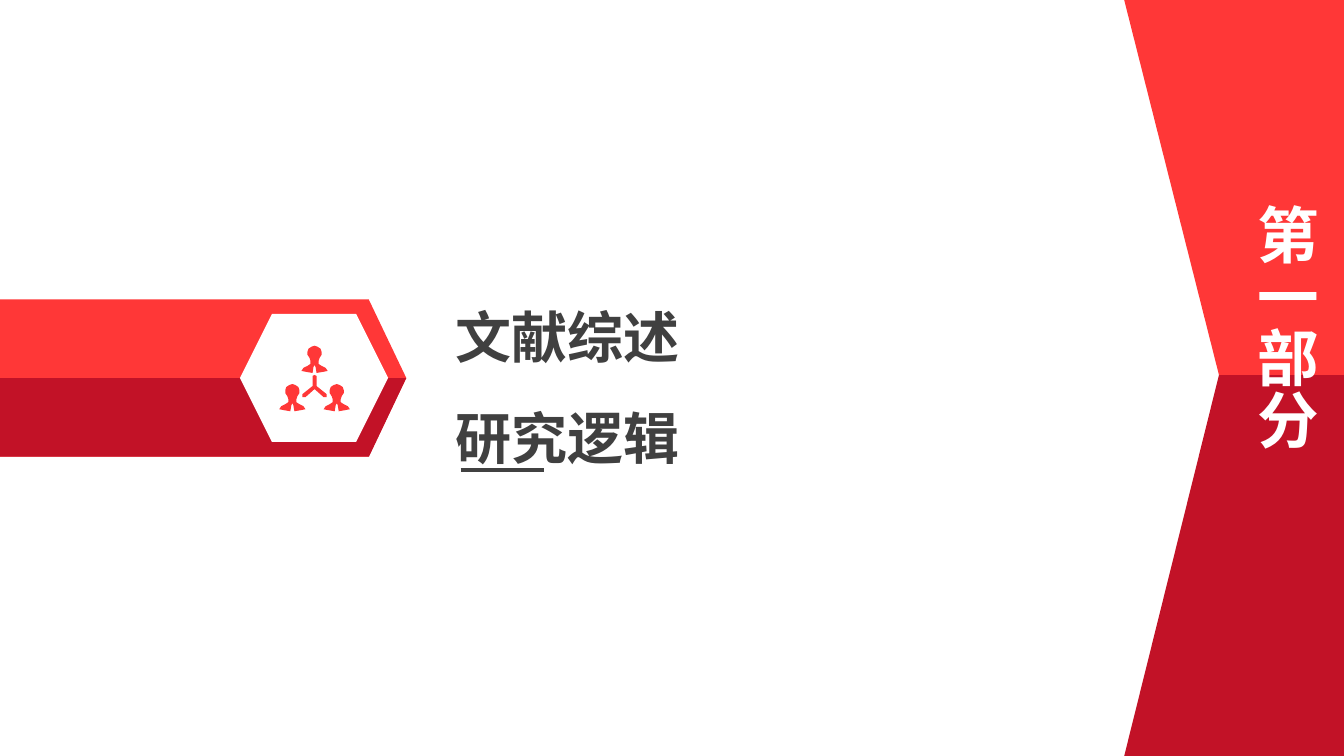
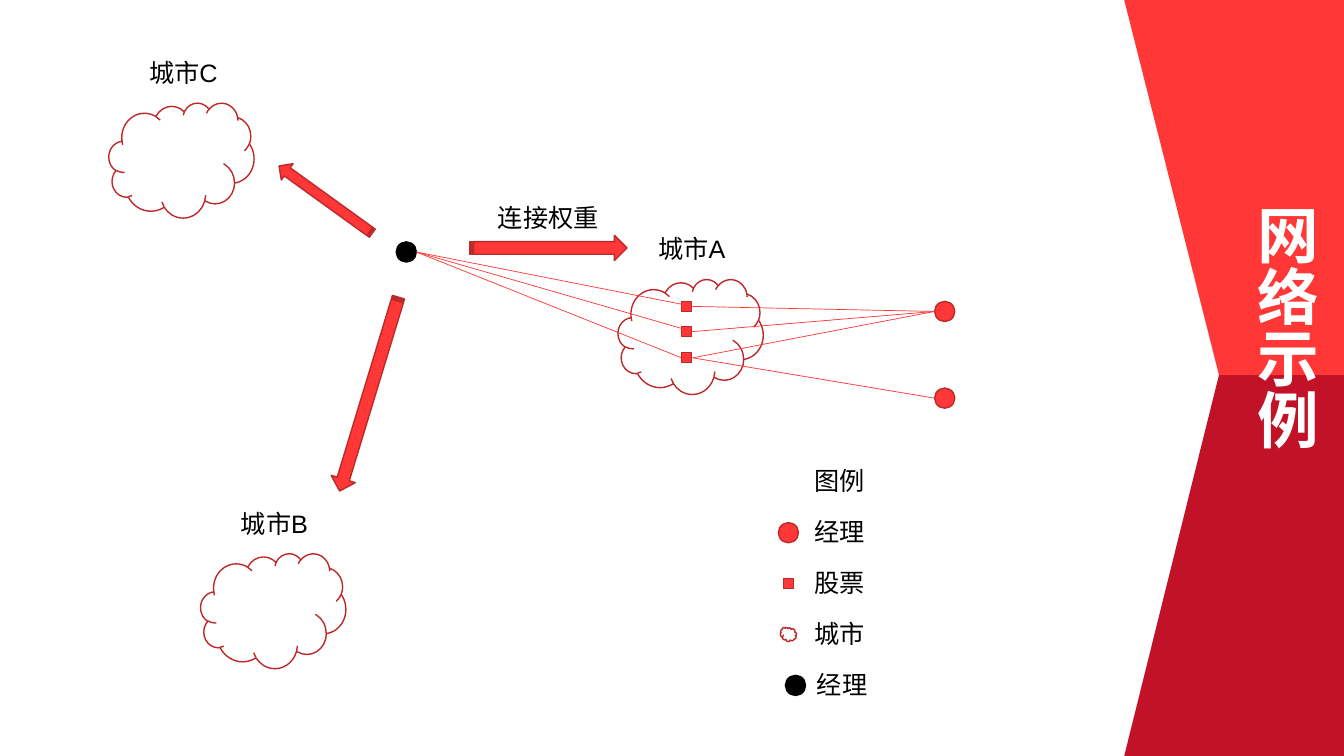
"""Build a section slide and a network example slide that share a red side band."""
from dataclasses import dataclass
from typing import Optional

from lxml import etree
from pptx import Presentation
from pptx.dml.color import RGBColor
from pptx.enum.shapes import MSO_CONNECTOR as Connector
from pptx.enum.shapes import MSO_SHAPE as Preset
from pptx.enum.text import PP_ALIGN as Align
from pptx.oxml.ns import qn
from pptx.util import Inches, Pt

COLORS = {
    "red": "FF3737",
    "crimson": "C21227",
    "outline": "BD2929",
    "title": "404040",
    "rule": "414141",
    "black": "000000",
    "white": "FFFFFF",
}
CJK = "Noto Sans CJK SC"
WIDTH, HEIGHT = 13.33, 7.5
BAND_LEFT, BAND_NOTCH, BAND_MIDDLE = 11.15, 12.09, 3.72
CLOUD_SIZE = (1.44, 1.14)
DOT, SQUARE = 0.2, 0.1
HALF_PERSON = [
    (0, 0), (0.03, 0.01), (0.06, 0.03), (0.07, 0.06), (0.07, 0.09),
    (0.05, 0.12), (0.04, 0.15), (0.04, 0.18), (0.07, 0.2), (0.11, 0.22),
    (0.13, 0.25), (0.08, 0.26), (0.02, 0.27), (0.01, 0.21), (0, 0.19),
]
HALF_JUNCTION = [
    (0, 0.29), (0.02, 0.3), (0.02, 0.4), (0.12, 0.48), (0.12, 0.51),
    (0.09, 0.51), (0, 0.43),
]


@dataclass(frozen=True)
class Marker:
    preset: Preset
    x: float
    y: float
    width: float
    height: float
    fill: Optional[str] = "red"
    line: Optional[str] = "outline"
    rotation: float = 0
    flipped: bool = False


@dataclass(frozen=True)
class City:
    name: str
    left: float
    top: float


@dataclass(frozen=True)
class LegendRow:
    label: str
    preset: Optional[Preset] = None
    width: float = DOT
    height: float = DOT
    fill: Optional[str] = "red"
    line: str = "outline"
    flipped: bool = False
    shift: float = 0


CITIES = [City("城市A", 6.13, 2.77), City("城市B", 1.99, 5.49), City("城市C", 1.08, 1.02)]
STOCK_X, STOCK_YS = 6.81, (3.04, 3.29, 3.55)
MANAGER_X, MANAGER_YS = 9.37, (3.09, 3.95)
HUB = (4.03, 2.5)
HUB_EDGE, MANAGER_EDGE = 4.13, 9.27
STOCK_LEFT, STOCK_RIGHT = 6.76, 6.87
STOCK_LINKS = [(0, 0), (1, 0), (2, 0), (2, 1)]
ARROWS = [
    Marker(Preset.STRIPED_RIGHT_ARROW, 5.44, 2.46, 1.56, 0.25),
    Marker(Preset.STRIPED_RIGHT_ARROW, 3.66, 3.91, 2.01, 0.25, rotation=106.9),
    Marker(Preset.STRIPED_RIGHT_ARROW, 3.23, 1.98, 1.14, 0.2, rotation=215.8),
]
LEGEND = [
    LegendRow("图例"),
    LegendRow("经理", Preset.OVAL),
    LegendRow("股票", Preset.RECTANGLE, SQUARE, SQUARE),
    LegendRow("城市", Preset.CLOUD, 0.16, 0.14, fill=None, flipped=True),
    LegendRow("经理", Preset.OVAL, fill="black", line="black", shift=0.07),
]
LEGEND_MARK_X, LEGEND_LABEL_X, LEGEND_TOP, LEGEND_STEP = 7.82, 7.98, 4.57, 0.505


def rgb(name: str) -> RGBColor:
    return RGBColor.from_string(COLORS[name])


def paint(shape, fill: Optional[str], line: Optional[str] = None) -> None:
    shape.shadow.inherit = False
    if fill:
        shape.fill.solid()
        shape.fill.fore_color.rgb = rgb(fill)
    else:
        shape.fill.background()
    if line:
        shape.line.color.rgb = rgb(line)
        shape.line.width = Pt(1)
    else:
        shape.line.fill.background()


def add_marker(slide, marker: Marker):
    shape = slide.shapes.add_shape(
        marker.preset,
        Inches(marker.x - marker.width / 2), Inches(marker.y - marker.height / 2),
        Inches(marker.width), Inches(marker.height),
    )
    paint(shape, marker.fill, marker.line)
    shape.rotation = marker.rotation
    if marker.flipped:
        shape._element.spPr.xfrm.set("flipH", "1")
    return shape


def add_outline(slide, contours: list, fill: str) -> None:
    scaled = [[(Inches(x), Inches(y)) for x, y in contour] for contour in contours]
    builder = slide.shapes.build_freeform(*scaled[0][0])
    for index, contour in enumerate(scaled):
        if index:
            builder.move_to(*contour[0])
        builder.add_line_segments(contour[1:], close=True)
    paint(builder.convert_to_shape(), fill)


def add_line(slide, start: tuple, end: tuple, color: str, width: float) -> None:
    line = slide.shapes.add_connector(
        Connector.STRAIGHT, *(Inches(value) for value in (*start, *end))
    )
    line.line.color.rgb = rgb(color)
    line.line.width = Pt(width)
    etree.SubElement(line._element.spPr, qn("a:effectLst"))


def add_text(slide, text: str, left: float, top: float, width: float, height: float, *,
             size: float = 18, font: str = "Arial", color: str = "black",
             bold: bool = False, align: Align = Align.LEFT, spacing: float = 1,
             vertical: bool = False) -> None:
    box = slide.shapes.add_textbox(Inches(left), Inches(top), Inches(width), Inches(height))
    frame = box.text_frame
    frame.word_wrap = True
    if vertical:
        frame._txBody.bodyPr.set("vert", "eaVert")
    frame.text = text
    for paragraph in frame.paragraphs:
        paragraph.alignment = align
        paragraph.line_spacing = spacing
        for run in paragraph.runs:
            run.font.size = Pt(size)
            run.font.name = font
            run.font.bold = bold
            run.font.color.rgb = rgb(color)
            east_asian = etree.SubElement(run.font._element, qn("a:ea"))
            east_asian.set("typeface", CJK)


def add_side_band(slide, title: str) -> None:
    for edge, color in ((HEIGHT, "crimson"), (0, "red")):
        add_outline(slide, [[
            (BAND_NOTCH, BAND_MIDDLE), (WIDTH, BAND_MIDDLE), (WIDTH, edge), (BAND_LEFT, edge),
        ]], color)
    add_text(slide, title, 12.23, 1.93, 0.94, 3.64, size=44, font=CJK, color="white",
             bold=True, align=Align.JUSTIFY, vertical=True)


def mirrored(half: list, x: float, y: float) -> list:
    left_side = [(-dx, dy) for dx, dy in reversed(half[1:-1])]
    return [(x + dx, y + dy) for dx, dy in half + left_side]


def build_section(slide) -> None:
    banner = add_marker(slide, Marker(Preset.PENTAGON, 2.015, 3.75, 4.03, 1.56, line=None))
    banner.adjustments[0] = 0.239
    add_outline(slide, [[(0, 3.75), (4.03, 3.75), (3.66, 4.53), (0, 4.53)]], "crimson")
    add_marker(slide, Marker(Preset.HEXAGON, 3.115, 3.75, 1.47, 1.27, fill="white", line=None))
    people = [mirrored(HALF_PERSON, x, y) for x, y in ((3.12, 3.43), (2.9, 3.81), (3.34, 3.81))]
    add_outline(slide, people + [mirrored(HALF_JUNCTION, 3.12, 3.43)], "red")
    add_text(slide, "文献综述\n研究逻辑", 4.42, 2.62, 2.45, 1.96, size=40, font="Quicksand",
             color="title", bold=True, align=Align.JUSTIFY, spacing=1.5)
    add_line(slide, (4.57, 4.66), (5.4, 4.66), "rule", 3)
    add_side_band(slide, "第一部分")


def add_legend(slide) -> None:
    for index, row in enumerate(LEGEND):
        top = LEGEND_TOP + index * LEGEND_STEP
        if row.preset is not None:
            add_marker(slide, Marker(row.preset, LEGEND_MARK_X + row.shift, top + 0.21,
                                     row.width, row.height, row.fill, row.line,
                                     flipped=row.flipped))
        add_text(slide, row.label, LEGEND_LABEL_X + row.shift / 3, top, 0.71, 0.4)


def build_network(slide) -> None:
    cloud_width, cloud_height = CLOUD_SIZE
    for city in CITIES:
        add_marker(slide, Marker(Preset.CLOUD, city.left + cloud_width / 2,
                                 city.top + cloud_height / 2, *CLOUD_SIZE, fill=None))
        add_text(slide, city.name, city.left + 0.3, city.top - 0.5, 1.31, 0.4)
    add_marker(slide, Marker(Preset.OVAL, *HUB, DOT, DOT, "black", "black"))
    for y in MANAGER_YS:
        add_marker(slide, Marker(Preset.OVAL, MANAGER_X, y, DOT, DOT))
    for y in STOCK_YS:
        add_marker(slide, Marker(Preset.RECTANGLE, STOCK_X, y, SQUARE, SQUARE))
    for x, y in zip((STOCK_RIGHT, STOCK_RIGHT, STOCK_LEFT), STOCK_YS):
        add_line(slide, (HUB_EDGE, HUB[1]), (x, y), "red", 0.5)
    for stock, manager in STOCK_LINKS:
        add_line(slide, (STOCK_RIGHT, STOCK_YS[stock]),
                 (MANAGER_EDGE, MANAGER_YS[manager]), "red", 0.5)
    for arrow in ARROWS:
        add_marker(slide, arrow)
    add_text(slide, "连接权重", 4.84, 1.96, 1.31, 0.4)
    add_legend(slide)
    add_side_band(slide, "网络示例")


def main() -> None:
    deck = Presentation()
    deck.slide_width, deck.slide_height = Inches(WIDTH), Inches(HEIGHT)
    for build in (build_section, build_network):
        build(deck.slides.add_slide(deck.slide_layouts[6]))
    deck.save("out.pptx")


if __name__ == "__main__":
    main()
